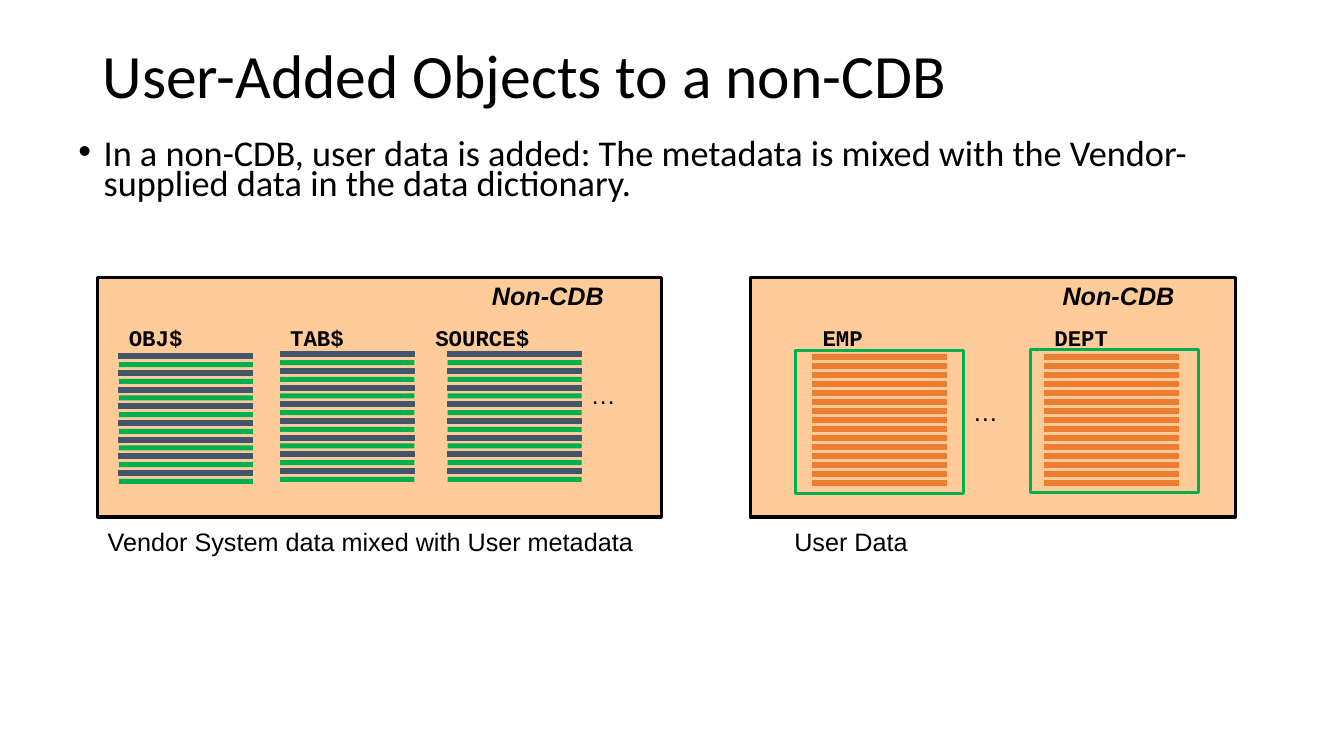
from lxml import etree
from pptx import Presentation
from pptx.dml.color import RGBColor
from pptx.enum.shapes import MSO_SHAPE
from pptx.oxml.ns import qn
from pptx.util import Inches, Pt

RECTANGLE = MSO_SHAPE.RECTANGLE

THEME = {
    "black": "000000", "panel": "FFCC99", "system": "44546A",
    "user": "00B050", "data": "ED7D31",
    "heading_font": "Calibri", "label_font": "Arial", "code_font": "Courier New",
    "title_size": 44, "body_size": 25.9, "label_size": 18, "code_size": 16,
    "thick_line": 2.25, "thin_line": 0.75,
}

TITLE = "User-Added Objects to a non-CDB"
BODY = ("In a non-CDB, user data is added: The metadata is mixed with the "
        "Vendor-supplied data in the data dictionary.")

# Left, top, width, height in inches
PANELS = [(7.44, 2.75, 4.81, 2.38), (0.97, 2.75, 5.59, 2.38)]
DATA_FRAMES = [(7.89, 3.48, 1.67, 1.42), (10.22, 3.47, 1.67, 1.42)]

# Name, label left, label width, bars left, bars top
DICTIONARY_TABLES = [
    ("OBJ$", 1.18, 1.33, 1.18, 3.51),
    ("TAB$", 2.78, 1.33, 2.78, 3.49),
    ("SOURCE$", 4.22, 1.56, 4.44, 3.49),
]
USER_TABLES = [
    ("EMP", 8.06, 1.33, 8.06, 3.52),
    ("DEPT", 10.36, 1.33, 10.36, 3.52),
]
# Tables, bar colours in turn, bar count, distance from first bar to last
TABLE_KINDS = [
    (DICTIONARY_TABLES, ("system", "user"), 16, 1.24),
    (USER_TABLES, ("data",), 15, 1.25),
]
BAR_WIDTH, BAR_HEIGHT = 1.33, 0.05
LABEL_TOP, LABEL_HEIGHT = 3.17, 0.37

LABELS = [
    ("…", (5.76, 3.71, 0.69, 0.4)),
    ("…", (9.55, 3.88, 0.69, 0.4)),
    ("Vendor System data mixed with User metadata", (0.97, 5.17, 5.59, 0.4)),
    ("User Data", (7.78, 5.17, 2.07, 0.4)),
]
PANEL_NAMES = [("Non-CDB", (4.78, 2.79, 2.11, 0.34)),
               ("Non-CDB", (10.44, 2.79, 2.11, 0.34))]


def colour(name):
    """Return the theme colour with this name."""
    return RGBColor.from_string(THEME[name])


def add_rectangle(shapes, box, fill=None, line=None, line_width="thick_line"):
    """Add a rectangle; leave out the fill or line that is not given."""
    shape = shapes.add_shape(RECTANGLE, *map(Inches, box))
    shape.shadow.inherit = False
    if fill:
        shape.fill.solid()
        shape.fill.fore_color.rgb = colour(fill)
    else:
        shape.fill.background()
    if line:
        shape.line.color.rgb = colour(line)
        shape.line.width = Pt(THEME[line_width])
    else:
        shape.line.fill.background()


def add_text(slide, text, box, role="label", spacing=None, bold=False, italic=False):
    """Add a text box in the font and size of its role; return its paragraph."""
    font_role = "label" if role == "label" else "code" if role == "code" else "heading"
    text_frame = slide.shapes.add_textbox(*map(Inches, box)).text_frame
    text_frame.word_wrap = True
    text_frame.text = text
    paragraph = text_frame.paragraphs[0]
    if spacing:
        paragraph.line_spacing = spacing
    font = paragraph.runs[0].font
    font.name = THEME[font_role + "_font"]
    font.size = Pt(THEME[role + "_size"])
    font.bold, font.italic = bold, italic
    font.color.rgb = colour("black")
    return paragraph


def add_bullet(paragraph, indent):
    """Give the paragraph a round bullet with a hanging indent."""
    properties = paragraph._p.get_or_add_pPr()
    properties.set("marL", str(Inches(indent)))
    properties.set("indent", str(Inches(-indent)))
    etree.SubElement(properties, qn("a:buFont")).set("typeface", "Arial")
    etree.SubElement(properties, qn("a:buChar")).set("char", "•")


def add_bars(slide, left, top, colours, count, span):
    """Add a group of evenly spaced row bars that cycle through the colours."""
    group = slide.shapes.add_group_shape()
    for row in range(count):
        fill = colours[row % len(colours)]
        line = None if fill == "user" else fill
        box = (left, top + row * span / (count - 1), BAR_WIDTH, BAR_HEIGHT)
        add_rectangle(group.shapes, box, fill, line, "thin_line")


def build():
    """Build the slide and save it."""
    presentation = Presentation()
    presentation.slide_width = Inches(13.33)
    presentation.slide_height = Inches(7.5)
    slide = presentation.slides.add_slide(presentation.slide_layouts[6])

    add_text(slide, TITLE, (0.92, 0.4, 11.5, 1.45), "title", spacing=0.9)
    body = add_text(slide, BODY, (0.68, 1.36, 11.97, 0.77), "body", spacing=0.7)
    body.space_before = Pt(10)
    add_bullet(body, 0.25)

    for box in PANELS:
        add_rectangle(slide.shapes, box, "panel", "black")
    for tables, colours, count, span in TABLE_KINDS:
        for name, label_left, label_width, left, top in tables:
            add_bars(slide, left, top, colours, count, span)
            label_box = (label_left, LABEL_TOP, label_width, LABEL_HEIGHT)
            add_text(slide, name, label_box, "code", bold=True)
    for text, box in LABELS:
        add_text(slide, text, box)
    for box in DATA_FRAMES:
        add_rectangle(slide.shapes, box, line="user")
    for text, box in PANEL_NAMES:
        add_text(slide, text, box, spacing=0.8, bold=True, italic=True)

    presentation.save("out.pptx")


build()
